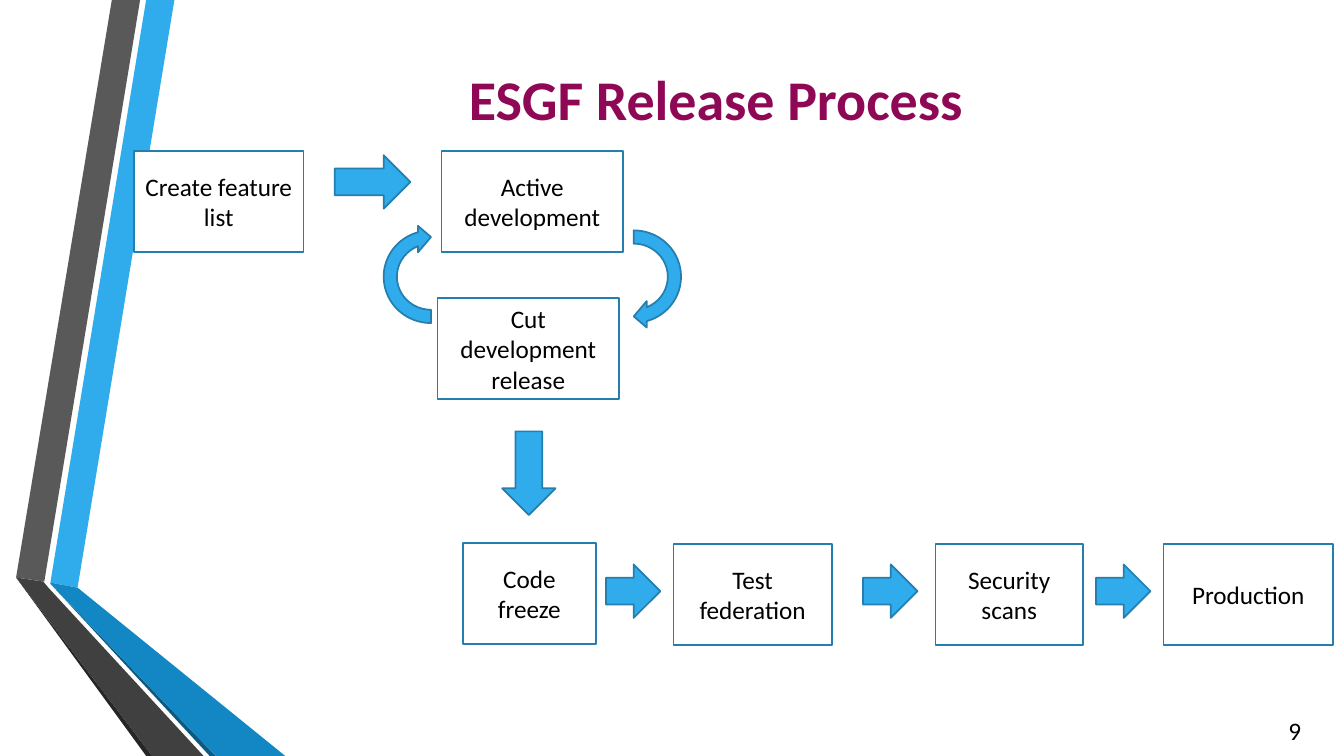
from pptx import Presentation
from pptx.dml.color import RGBColor
from pptx.enum.shapes import MSO_SHAPE
from pptx.enum.text import MSO_ANCHOR, PP_ALIGN
from pptx.util import Pt

RECT = MSO_SHAPE.RECTANGLE
ARROW = MSO_SHAPE.RIGHT_ARROW
LOOP = MSO_SHAPE.CIRCULAR_ARROW
CENTER, LEFT = PP_ALIGN.CENTER, PP_ALIGN.LEFT
MIDDLE, TOP = MSO_ANCHOR.MIDDLE, MSO_ANCHOR.TOP

PX = 9144  # EMU per px, 100 px to the inch
SIZE = (1333, 750)
FONT = "Calibri"
COLORS = {
    "white": "FFFFFF", "black": "000000", "title": "8F0856",
    "blue": "30ACEC", "outline": "247FAF",
    "mid_blue": "1287C3", "deep_blue": "0C5A82",
    "gray": "595959", "dark_gray": "404040", "darkest_gray": "262626",
}

TITLE = ("ESGF Release Process", (162, 32, 1096, 131))
PAGE_NUMBER = ("9", (1268, 705, 60, 40))

# color, corner points
RIBBONS = [
    ("blue", [(50, 578), (77, 583), (173, 0), (145, 0)]),
    ("gray", [(139, 0), (111, 0), (16, 573), (44, 577)]),
    ("darkest_gray", [(16, 573), (145, 750), (151, 750)]),
    ("deep_blue", [(50, 579), (208, 750), (214, 750)]),
    ("mid_blue", [(50, 578), (50, 579), (214, 750), (283, 750), (77, 583)]),
    ("dark_gray", [(202, 750), (48, 583), (43, 577), (16, 573), (151, 750)]),
]

STEP_H = 100
# label, left, top, width
STEPS = [
    ("Create feature list", 133, 150, 168),
    ("Active development", 438, 150, 180),
    ("Cut development release", 434, 296, 180),
    ("Code freeze", 459, 539, 132),
    ("Test federation", 668, 540, 157),
    ("Security scans", 928, 540, 146),
    ("Production", 1154, 540, 168),
]

ARROW_H = 53
LOOP_SIZE = (105, 107)
RELEASE_ROW = [(x, 560, 54, ARROW_H) for x in (601, 856, 1087)]
# shape, box, rotation
ARROWS = [
    (ARROW, (332, 154, 75, ARROW_H), 0),
    (ARROW, (483, 443, 83, ARROW_H), 90),
    (LOOP, (576, 221, *LOOP_SIZE), 90),
    (LOOP, (375, 221, *LOOP_SIZE), 270),
] + [(ARROW, box, 0) for box in RELEASE_ROW]


def rgb(name):
    return RGBColor.from_string(COLORS[name])


def emu(box):
    return [v * PX for v in box]


def write(shape, text, size, color="black", align=CENTER, anchor=MIDDLE, bold=False):
    tf = shape.text_frame
    tf.word_wrap = True
    tf.vertical_anchor = anchor
    p = tf.paragraphs[0]
    p.alignment = align
    r = p.add_run()
    r.text = text
    r.font.name, r.font.size, r.font.bold = FONT, Pt(size), bold
    r.font.color.rgb = rgb(color)


def add_outlined(s, kind, box, fill):
    sp = s.shapes.add_shape(kind, *emu(box))
    sp.shadow.inherit = False
    sp.fill.solid()
    sp.fill.fore_color.rgb = rgb(fill)
    sp.line.color.rgb = rgb("outline")
    sp.line.width = Pt(1.25)
    return sp


def add_ribbon(s, color, points):
    builder = s.shapes.build_freeform(*points[0], scale=PX)
    builder.add_line_segments(points[1:], close=True)
    sp = builder.convert_to_shape()
    sp.shadow.inherit = False
    sp.fill.solid()
    sp.fill.fore_color.rgb = rgb(color)
    sp.line.fill.background()


def main():
    prs = Presentation()
    prs.slide_width, prs.slide_height = emu(SIZE)
    s = prs.slides.add_slide(prs.slide_layouts[5])

    for color, points in RIBBONS:
        add_ribbon(s, color, points)

    text, box = TITLE
    title = s.shapes.title
    title.left, title.top, title.width, title.height = emu(box)
    write(title, text, 40, "title", bold=True)

    for label, left, top, width in STEPS:
        step = add_outlined(s, RECT, (left, top, width, STEP_H), "white")
        write(step, label, 18)

    for kind, box, rotation in ARROWS:
        add_outlined(s, kind, box, "blue").rotation = rotation

    text, box = PAGE_NUMBER
    write(s.shapes.add_textbox(*emu(box)), text, 18, align=LEFT, anchor=TOP)

    prs.save("out.pptx")


if __name__ == "__main__":
    main()
